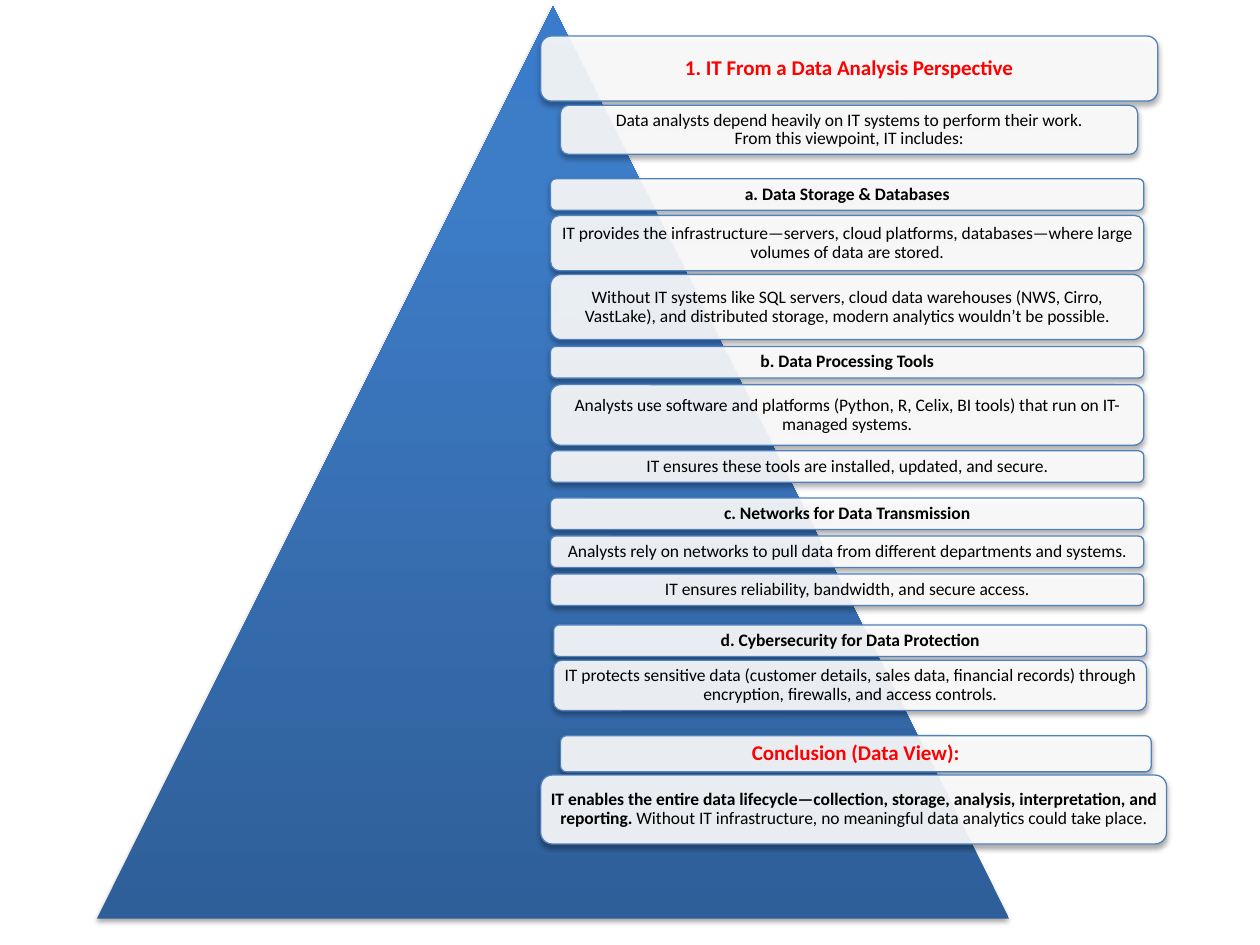
from copy import deepcopy

from lxml import etree
from pptx import Presentation
from pptx.dml.color import RGBColor
from pptx.enum import shapes, text
from pptx.oxml.ns import qn
from pptx.util import Pt

COLORS = {
    "card": "FFFFFF", "border": "4F81BD", "shadow": "000000",
    "heading": "FF0000", "body": "000000",
}
PYRAMID_STOPS = [(0, "2F5F99"), (0.8, "3D7CC7"), (1, "3A7CCB")]
HEADING_H = 18

# Each section: left, top, width, heading, then points as (offset, height, text)
SECTIONS = [
    (314.6, 102.2, 339, "a. Data Storage & Databases", [
        (20.9, 31.7, "IT provides the infrastructure—servers, cloud platforms, "
                     "databases—where large volumes of data are stored."),
        (54.7, 37.2, "Without IT systems like SQL servers, cloud data warehouses "
                     "(NWS, Cirro, VastLake), and distributed storage, modern "
                     "analytics wouldn’t be possible."),
    ]),
    (314.6, 198, 339, "b. Data Processing Tools", [
        (21.8, 34.6, "Analysts use software and platforms (Python, R, Celix, BI tools) "
                     "that run on IT-managed systems."),
        (59.6, 18, "IT ensures these tools are installed, updated, and secure."),
    ]),
    (314.6, 284.6, 339, "c. Networks for Data Transmission", [
        (21.7, 18, "Analysts rely on networks to pull data from different "
                   "departments and systems."),
        (43.4, 18, "IT ensures reliability, bandwidth, and secure access."),
    ]),
    (316.4, 357.1, 338.8, "d. Cybersecurity for Data Protection", [
        (20.2, 28.8, "IT protects sensitive data (customer details, sales data, "
                     "financial records) through encryption, firewalls, and access controls."),
    ]),
]


def rgb(name):
    return RGBColor.from_string(COLORS[name])


def add_shadow(sp):
    sp.shadow.inherit = False
    effects = sp._element.spPr.find(qn("a:effectLst"))
    shadow = etree.SubElement(effects, qn("a:outerShdw"), blurRad=str(Pt(3.1)),
                              dist=str(Pt(1.8)), dir="5400000", rotWithShape="0")
    color = etree.SubElement(shadow, qn("a:srgbClr"), val=COLORS["shadow"])
    etree.SubElement(color, qn("a:alpha"), val="35000")


def add_pyramid(s, left, top, width, height):
    sp = s.shapes.add_shape(shapes.MSO_SHAPE.ISOSCELES_TRIANGLE,
                            Pt(left), Pt(top), Pt(width), Pt(height))
    sp.fill.gradient()
    sp.fill.gradient_angle = 90
    first = sp._element.spPr.find(".//" + qn("a:gs"))
    first.addnext(deepcopy(first))
    for stop, (position, color) in zip(sp.fill.gradient_stops, PYRAMID_STOPS):
        stop.position = position
        stop.color.rgb = RGBColor.from_string(color)
    sp.line.fill.background()
    add_shadow(sp)


def write(sp, runs, size=10, color="body"):
    """Fill a shape with one centred paragraph of (text, bold) runs."""
    tf = sp.text_frame
    tf.word_wrap = True
    tf.auto_size = text.MSO_AUTO_SIZE.NONE
    tf.vertical_anchor = text.MSO_ANCHOR.MIDDLE
    inset = Pt(size * 0.3)
    tf.margin_left = tf.margin_right = tf.margin_top = tf.margin_bottom = inset
    p = tf.paragraphs[0]
    p.alignment = text.PP_ALIGN.CENTER
    p.line_spacing = 0.9
    for words, bold in runs:
        # a line break splits the words into separate runs
        for i, line in enumerate(words.split("\n")):
            if i:
                p.add_line_break()
            r = p.add_run()
            r.text = line
            r.font.name = "Calibri"
            r.font.size = Pt(size)
            r.font.bold = bold
            r.font.color.rgb = rgb(color)


def add_card(s, left, top, width, height):
    sp = s.shapes.add_shape(shapes.MSO_SHAPE.ROUNDED_RECTANGLE,
                            Pt(left), Pt(top), Pt(width), Pt(height))
    sp.fill.solid()
    sp.fill.fore_color.rgb = rgb("card")
    color = sp._element.spPr.find(qn("a:solidFill")).find(qn("a:srgbClr"))
    etree.SubElement(color, qn("a:alpha"), val="90000")
    sp.line.color.rgb = rgb("border")
    sp.line.width = Pt(0.75)
    add_shadow(sp)
    return sp


def add_header(s, left, top, width):
    add_card(s, left, top, width, 37.2)
    title = s.shapes.title
    title.left, title.top = Pt(left + 1.8), Pt(top + 1.8)
    title.width, title.height = Pt(width - 3.6), Pt(33.6)
    write(title, [("1. IT From a Data Analysis Perspective", True)], 12, "heading")
    s.shapes._spTree.append(title._element)  # bring in front of its card
    intro = add_card(s, left + 11.3, top + 39.6, width - 22.8, 28)
    write(intro, [("Data analysts depend heavily on IT systems to perform their work.\n"
                   "From this viewpoint, IT includes:", False)])


def add_section(s, left, top, width, heading, points):
    write(add_card(s, left, top, width, HEADING_H), [(heading, True)])
    for offset, height, words in points:
        write(add_card(s, left, top + offset, width, height), [(words, False)])


def add_conclusion(s, left, top, width):
    heading = add_card(s, left + 11.3, top, width - 20, 20.7)
    write(heading, [("Conclusion (Data View):", True)], 12, "heading")
    summary = add_card(s, left, top + 22.5, width, 39.4)
    write(summary, [
        ("IT enables the entire data lifecycle—collection, storage, analysis, "
         "interpretation, and reporting.", True),
        (" Without IT infrastructure, no meaningful data analytics could take place.", False),
    ])


def main():
    prs = Presentation()
    prs.slide_width, prs.slide_height = Pt(720), Pt(540)
    s = prs.slides.add_slide(prs.slide_layouts[5])
    add_pyramid(s, 55.4, 3.6, 521.3, 521.3)
    add_header(s, 309, 20.6, 352.6)
    for section in SECTIONS:
        add_section(s, *section)
    add_conclusion(s, 309, 420.4, 357.6)
    prs.save("out.pptx")


if __name__ == "__main__":
    main()
